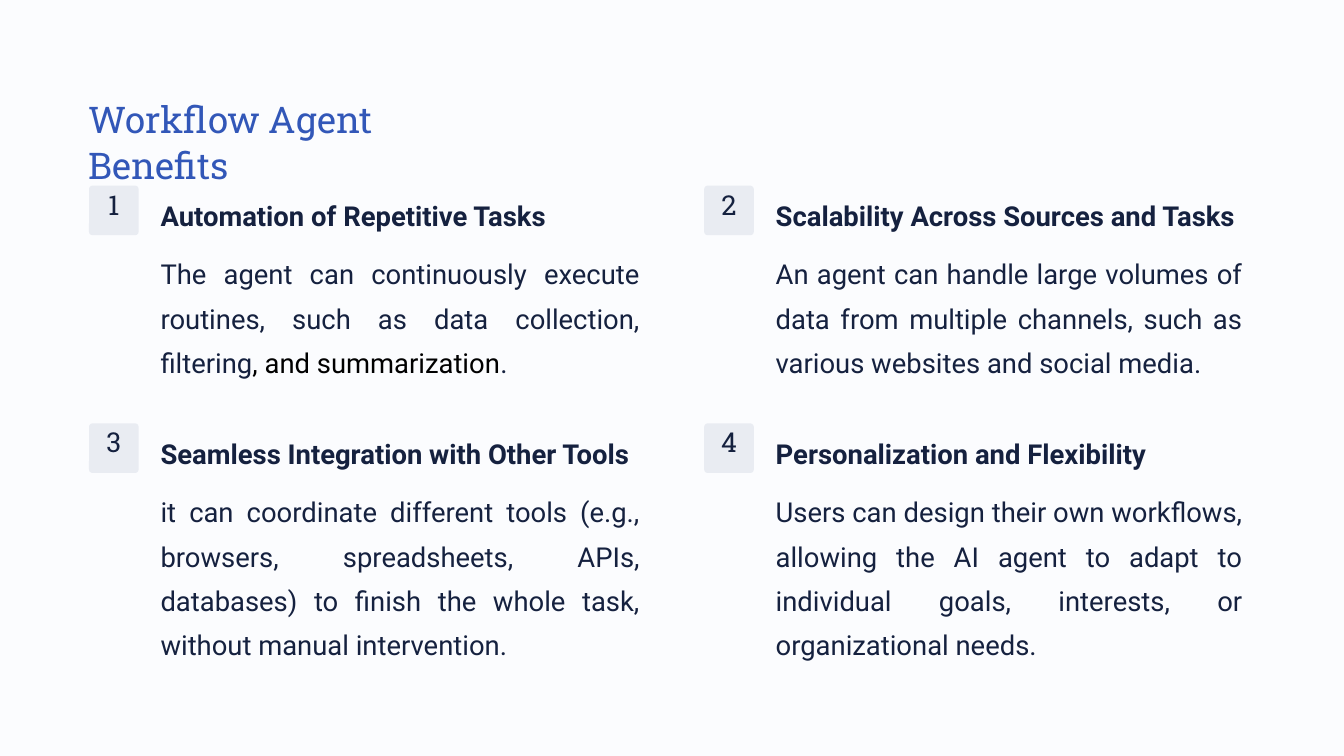
from pptx import Presentation
from pptx.dml.color import RGBColor
from pptx.enum.shapes import MSO_SHAPE
from pptx.enum.text import MSO_ANCHOR, PP_ALIGN
from pptx.util import Pt

NAVY, BLUE, BLACK = "15213F", "3257B8", "000000"
TILE, PAPER = "E9ECF2", "FBFCFE"

TITLE = "Workflow Agent Benefits"
BENEFITS = [
    ("Automation of Repetitive Tasks", [
        ("The agent can continuously execute routines, such as data collection, filtering", NAVY),
        (", and summarization", BLACK),
        (".", NAVY)]),
    ("Scalability Across Sources and Tasks", [
        ("An agent can handle large volumes of data from multiple channels, "
         "such as various websites and social media.", NAVY)]),
    ("Seamless Integration with Other Tools", [
        ("it can coordinate different tools (e.g., browsers, spreadsheets, APIs, databases) "
         "to finish the whole task, without manual intervention.", NAVY)]),
    ("Personalization and Flexibility", [
        ("Users can design their own workflows, allowing the AI agent to adapt to "
         "individual goals, interests, or organizational needs.", NAVY)]),
]

LEFT, TOP = 76.3, 159.1
COLUMN_STEP, ROW_STEP = 527.3, 203.8
TILE_SIZE = 42.5
BODY_WIDTHS = (411, 400.3)
BODY_HEIGHTS = (113.8, 152)

TITLE_STYLE = {"name": "Roboto Slab", "size": Pt(31.5)}
NUMBER_STYLE = {"name": "Roboto Slab", "size": Pt(23.5)}
HEADING_STYLE = {"name": "Roboto", "size": Pt(23.5), "bold": True}
BODY_STYLE = {"name": "Roboto", "size": Pt(23.5)}


def paint(target, color):
    target.rgb = RGBColor.from_string(color)


def fill_solid(fill, color):
    fill.solid()
    paint(fill.fore_color, color)


def add_text(page, place, spans, style, spacing, align=PP_ALIGN.LEFT, wrap=False):
    frame = page.shapes.add_textbox(*map(Pt, place)).text_frame
    frame_format = {"margin_left": 0, "margin_top": 0, "margin_right": 0, "margin_bottom": 0,
                    "word_wrap": wrap, "vertical_anchor": MSO_ANCHOR.TOP}
    for name, value in frame_format.items():
        setattr(frame, name, value)
    para = frame.paragraphs[0]
    para.alignment = align
    para.line_spacing = Pt(spacing)
    for text, color in spans:
        span = para.add_run()
        span.text = text
        for name, value in style.items():
            setattr(span.font, name, value)
        paint(span.font.color, color)


def add_tile(page, x, y):
    box = page.shapes.add_shape(MSO_SHAPE.ROUNDED_RECTANGLE,
                                Pt(x), Pt(y), Pt(TILE_SIZE), Pt(TILE_SIZE))
    box.adjustments[0] = 0.07
    box.shadow.inherit = False
    fill_solid(box.fill, TILE)
    box.line.fill.background()


def add_benefit(page, index, heading, body):
    row, column = divmod(index, 2)
    x, y = LEFT + column * COLUMN_STEP, TOP + row * ROW_STEP
    text_x = x + 61.3
    add_tile(page, x, y)
    add_text(page, (x + 9.4, y + 6.5, 23.8, 30.2), [(str(index + 1), NAVY)],
             NUMBER_STYLE, 23.5, PP_ALIGN.CENTER)
    add_text(page, (text_x, y + 2.2, 426.2, 38.2), [(heading, NAVY)], HEADING_STYLE, 38)
    add_text(page, (text_x, y + 51.8, BODY_WIDTHS[column], BODY_HEIGHTS[row]), body,
             BODY_STYLE, 38, PP_ALIGN.JUSTIFY, True)


def main():
    deck = Presentation()
    deck.slide_width, deck.slide_height = Pt(1152), Pt(648)
    page = deck.slides.add_slide(deck.slide_layouts[6])
    fill_solid(page.background.fill, PAPER)
    add_text(page, (LEFT, 81.4, 319.7, 39.6), [(TITLE, BLUE)], TITLE_STYLE, 39.5)
    for index, (heading, body) in enumerate(BENEFITS):
        add_benefit(page, index, heading, body)
    deck.save("out.pptx")


if __name__ == "__main__":
    main()
